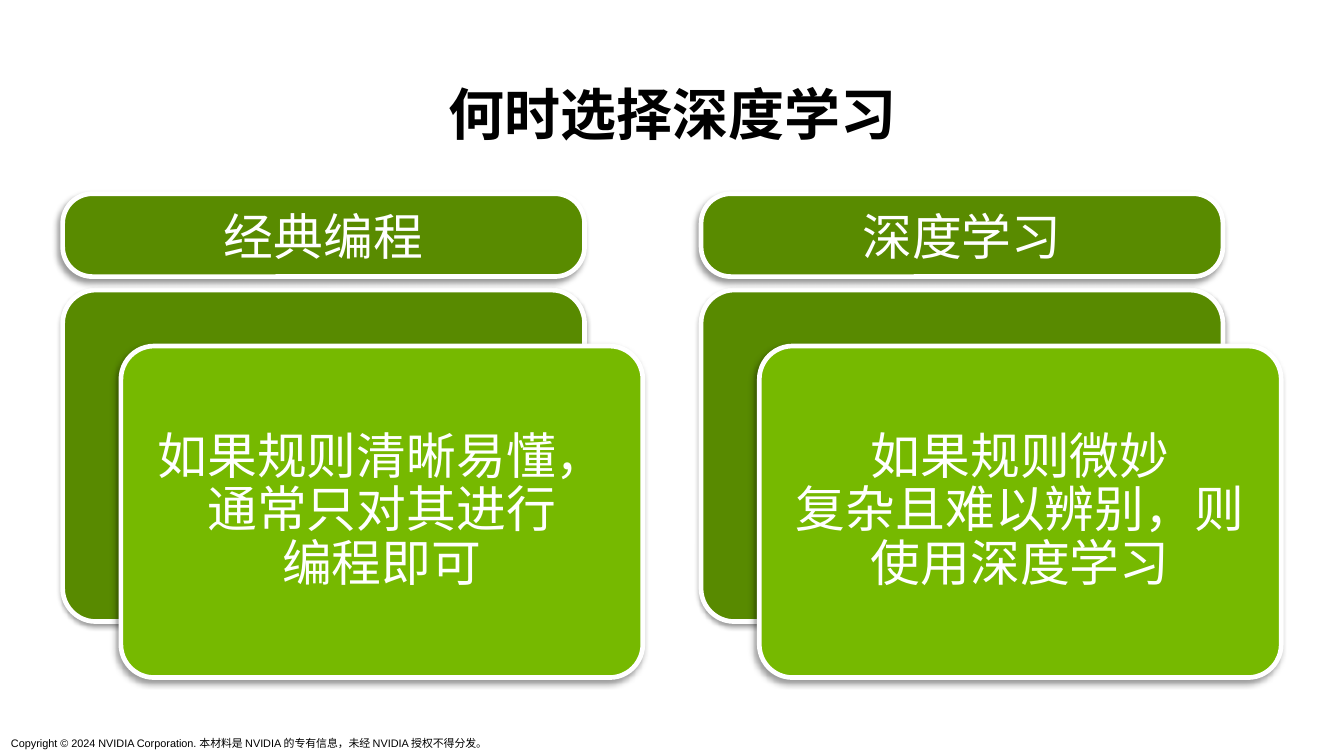
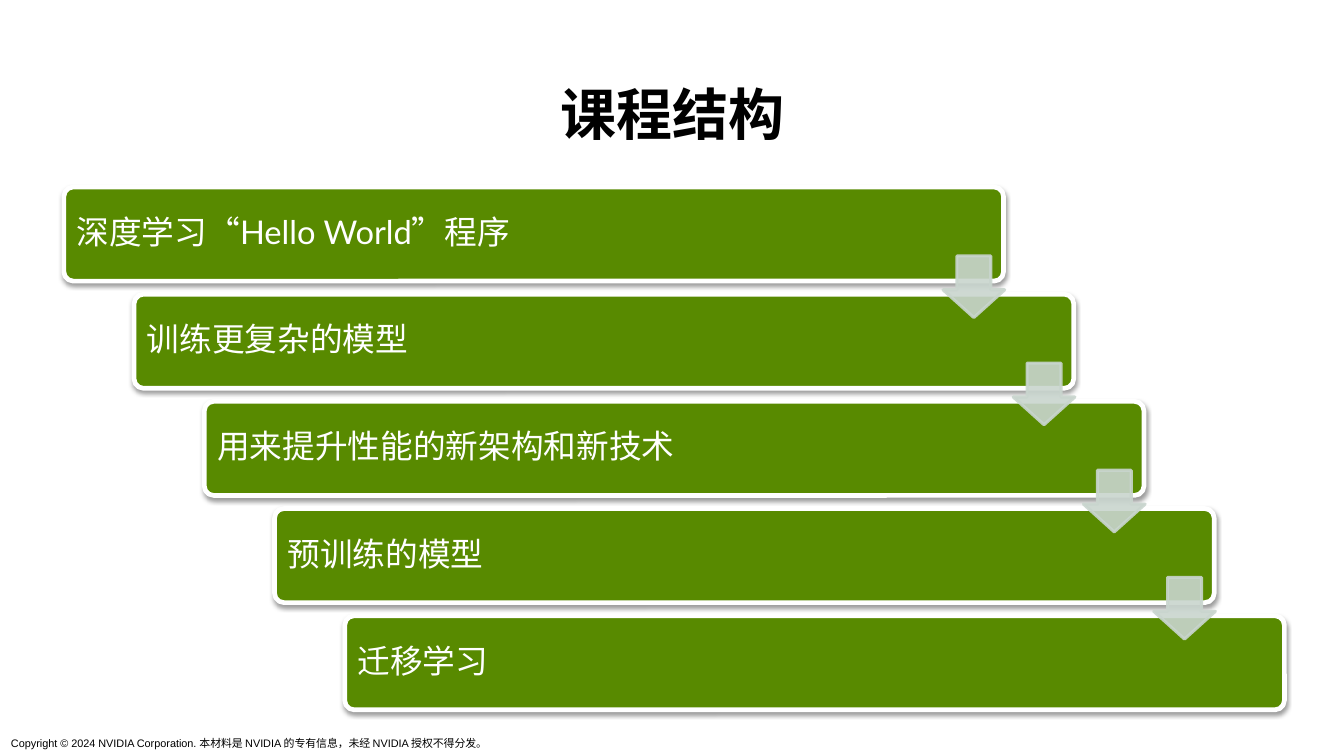
import pptx
import pptx.util
from lxml import etree
from pptx.dml.color import RGBColor
from pptx.enum.shapes import MSO_SHAPE
from pptx.enum.text import MSO_ANCHOR, MSO_AUTO_SIZE, PP_ALIGN
from pptx.oxml.ns import qn

BLACK = RGBColor(0x00, 0x00, 0x00)
WHITE = RGBColor(0xFF, 0xFF, 0xFF)
DARK_GREEN = RGBColor(0x58, 0x8A, 0x00)
HEADER_GREEN = RGBColor(0x59, 0x8B, 0x00)
LIGHT_GREEN = RGBColor(0x76, 0xB9, 0x00)
GREY = RGBColor(0xC9, 0xD5, 0xCE)

# Shadows: opacity in percent, blur and distance in points, angle in degrees
SOFT = (38, 3.1, 1.6, 90)
STRONG = (40, 4, 3, 135)

COPYRIGHT = "Copyright © 2024 NVIDIA Corporation. 本材料是 NVIDIA 的专有信息，未经 NVIDIA 授权不得分发。"

prs = pptx.Presentation()
prs.slide_width = pptx.util.Inches(12)
prs.slide_height = pptx.util.Inches(6.75)
COL = prs.slide_width / 12
ROW = prs.slide_height / 6.75


def add_panel(s, left, top, width, height, corner, fill, shadow):
    """Add a white-edged rounded rectangle, measured in grid units, with an outer shadow."""
    sp = s.shapes.add_shape(MSO_SHAPE.ROUNDED_RECTANGLE, int(left * COL), int(top * ROW),
                            int(width * COL), int(height * ROW))
    sp.adjustments[0] = corner
    sp.fill.solid()
    sp.fill.fore_color.rgb = fill
    sp.line.color.rgb = WHITE
    sp.line.width = pptx.util.Pt(3)
    sp.shadow.inherit = False
    opacity, blur, dist, angle = shadow
    effects = sp._element.spPr.find(qn("a:effectLst"))
    outer = etree.SubElement(effects, qn("a:outerShdw"), blurRad=str(pptx.util.Pt(blur)),
                             dist=str(pptx.util.Pt(dist)), dir=str(angle * 60000), rotWithShape="0")
    color = etree.SubElement(outer, qn("a:srgbClr"), val=str(BLACK))
    etree.SubElement(color, qn("a:alpha"), val=str(opacity * 1000))
    return sp


def write(sp, text, size, color=WHITE, align=PP_ALIGN.CENTER, anchor=MSO_ANCHOR.MIDDLE,
          inset=(0.1, 0.05), spacing=0.9, font="Lato", bold=False):
    tf = sp.text_frame
    tf.word_wrap = True
    tf.vertical_anchor = anchor
    tf.margin_left = tf.margin_right = pptx.util.Inches(inset[0])
    tf.margin_top = tf.margin_bottom = pptx.util.Inches(inset[1])
    p = tf.paragraphs[0]
    p.text = text
    p.alignment = align
    p.line_spacing = spacing
    p.font.name = font
    p.font.size = pptx.util.Pt(size)
    p.font.bold = bold
    p.font.color.rgb = color


# Title and footer on both slides
slides = []
for title in ("何时选择深度学习", "课程结构"):
    s = prs.slides.add_slide(prs.slide_layouts[6])
    box = s.shapes.add_textbox(int(0.55 * COL), int(0.72 * ROW), int(10.91 * COL), int(0.65 * ROW))
    write(box, title, 36, BLACK, anchor=MSO_ANCHOR.BOTTOM, bold=True)
    footer = s.shapes.add_textbox(0, int(6.53 * ROW), int(4.53 * COL), int(0.22 * ROW))
    write(footer, COPYRIGHT, 7, BLACK, PP_ALIGN.LEFT, MSO_ANCHOR.TOP, spacing=1.0, font="Arial")
    footer.text_frame.word_wrap = False
    footer.text_frame.auto_size = MSO_AUTO_SIZE.SHAPE_TO_FIT_TEXT
    slides.append(s)
choice, outline = slides

# Two approaches side by side: a header above a pair of overlapping cards
approaches = [
    ("经典编程", "如果规则清晰易懂，通常只对其进行\n编程即可"),
    ("深度学习", "如果规则微妙\n复杂且难以辨别，则使用深度学习"),
]
CARD_W, CARD_H = 4.66, 2.96
for i, (name, advice) in enumerate(approaches):
    left = 0.56 + 5.7 * i
    add_panel(choice, left, 2.59, CARD_W, CARD_H, 0.1, DARK_GREEN, SOFT)
    card = add_panel(choice, left + 0.52, 3.09, CARD_W, CARD_H, 0.1, LIGHT_GREEN, STRONG)
    write(card, advice, 32, inset=(0.13, 0.13))
    header = add_panel(choice, left, 1.73, CARD_W, 0.74, 0.358, HEADER_GREEN, STRONG)
    write(header, name, 32, spacing=1.0)

# Course steps going down to the right
steps = ["深度学习“Hello World”程序", "训练更复杂的模型", "用来提升性能的新架构和新技术",
         "预训练的模型", "迁移学习"]
STEP_X, STEP_Y = 0.627, 0.957
for i, step in enumerate(steps):
    bar = add_panel(outline, 0.57 + STEP_X * i, 1.67 + STEP_Y * i, 8.39, 0.84, 0.1, DARK_GREEN, SOFT)
    write(bar, step, 21, align=PP_ALIGN.LEFT, inset=(0.09, 0.09))

# Arrows from each step to the next
for i in range(len(steps) - 1):
    arrow = outline.shapes.add_shape(
        MSO_SHAPE.DOWN_ARROW, int((8.42 + STEP_X * i) * COL), int((2.285 + STEP_Y * i) * ROW),
        int(0.55 * COL), int(0.55 * ROW))
    arrow.adjustments[0] = 0.55
    arrow.adjustments[1] = 0.45
    arrow.shadow.inherit = False
    arrow.fill.solid()
    arrow.fill.fore_color.rgb = GREY
    arrow.line.color.rgb = GREY
    arrow.line.width = pptx.util.Pt(2)
    for color in arrow._element.spPr.iter(qn("a:srgbClr")):
        etree.SubElement(color, qn("a:alpha"), val="90000")

prs.save("out.pptx")
